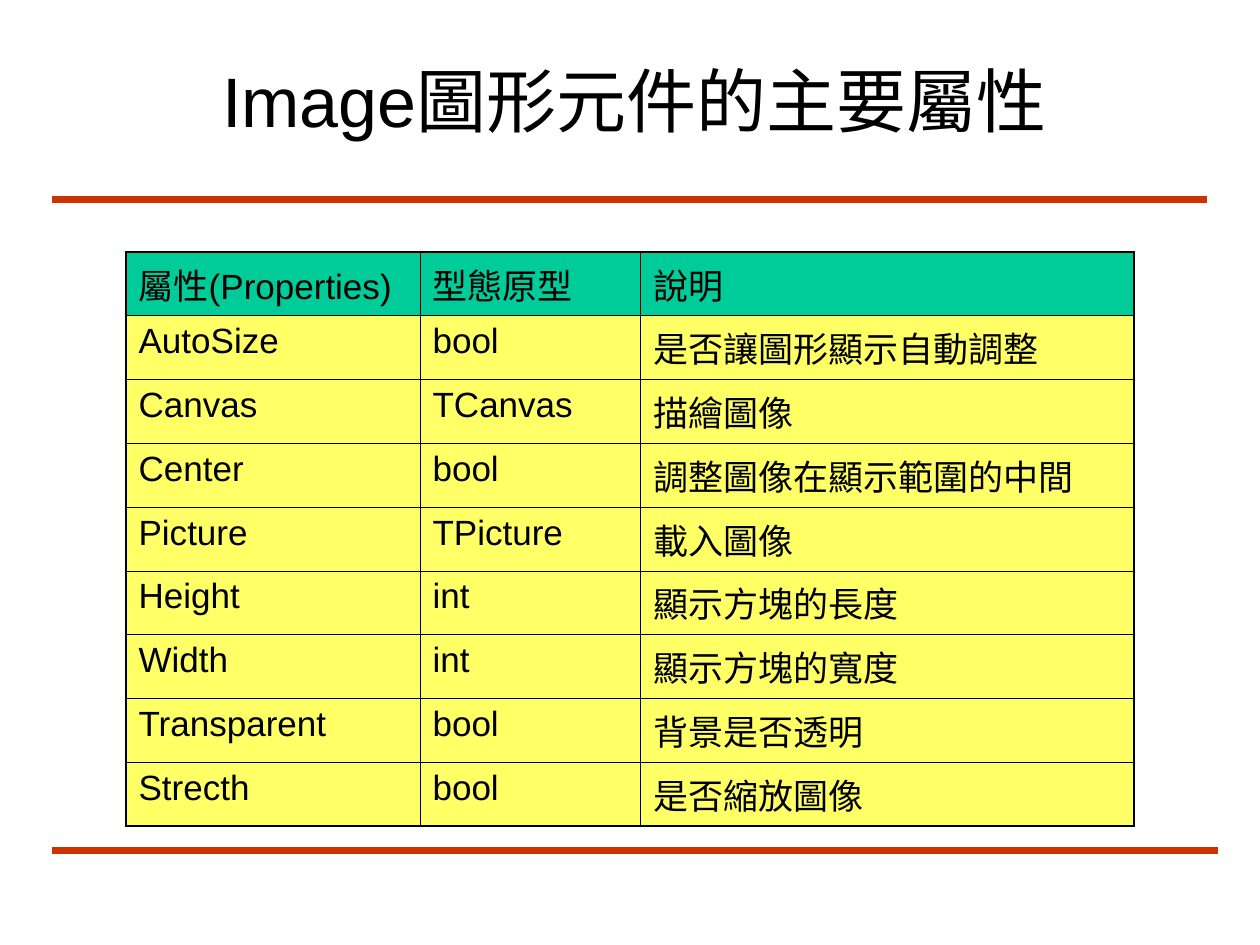
"""Builds a slide with a table of the main properties of the Image component."""
from lxml import etree
from pptx import Presentation, util as u
from pptx.dml.color import RGBColor
from pptx.enum import shapes, text
from pptx.oxml import ns

COLORS = {"ink": "000000", "rule": "CC3300", "header": "00CC99", "body": "FFFF66"}

PROPERTIES = [
    ("屬性(Properties)", "型態原型", "說明"),
    ("AutoSize", "bool", "是否讓圖形顯示自動調整"),
    ("Canvas", "TCanvas", "描繪圖像"),
    ("Center", "bool", "調整圖像在顯示範圍的中間"),
    ("Picture", "TPicture", "載入圖像"),
    ("Height", "int", "顯示方塊的長度"),
    ("Width", "int", "顯示方塊的寬度"),
    ("Transparent", "bool", "背景是否透明"),
    ("Strecth", "bool", "是否縮放圖像"),
]


class SlideBuilder:
    font = "Arial"
    scale = 7620
    outer_border = 1.08
    inner_border = 0.45

    def __init__(self, page):
        self.page = page

    def px(self, *lengths):
        return [u.Emu(length * self.scale) for length in lengths]

    def color(self, name):
        return RGBColor.from_string(COLORS[name])

    def add_words(self, frame, words, size):
        frame.word_wrap = True
        para = frame.paragraphs[0]
        para.alignment = text.PP_ALIGN.LEFT
        span = para.add_run()
        span.text = words
        span.font.name = self.font
        span.font.size = u.Pt(size)
        span.font.color.rgb = self.color("ink")

    def title(self, words, left, top, width, height):
        box = self.page.shapes.add_textbox(*self.px(left, top, width, height))
        box.text_frame.vertical_anchor = text.MSO_ANCHOR.MIDDLE
        self.add_words(box.text_frame, words, 40)

    def rule(self, left, right, y):
        line = self.page.shapes.add_connector(
            shapes.MSO_CONNECTOR.STRAIGHT, *self.px(left, y, right, y))
        line.line.color.rgb = self.color("rule")
        line.line.width = u.Pt(4.5)
        etree.SubElement(line._element.spPr, ns.qn("a:effectLst"))

    def border(self, cell, side, width):
        properties = cell._tc.get_or_add_tcPr()
        line = etree.SubElement(properties, ns.qn(f"a:ln{side}"), w=str(u.Pt(width)))
        fill = etree.SubElement(line, ns.qn("a:solidFill"))
        etree.SubElement(fill, ns.qn("a:srgbClr"), val=COLORS["ink"])

    def table(self, rows, left, top, widths, height):
        last_row, last_column = len(rows) - 1, len(widths) - 1
        grid = self.page.shapes.add_table(
            len(rows), len(widths), *self.px(left, top, sum(widths), height)).table
        for column, width in zip(grid.columns, self.px(*widths)):
            column.width = width
        for r, row in enumerate(rows):
            for c, words in enumerate(row):
                cell = grid.cell(r, c)
                self.add_words(cell.text_frame, words, 20)
                edges = {"L": c == 0, "R": c == last_column, "T": r == 0, "B": r == last_row}
                for side, is_outer in edges.items():
                    self.border(cell, side, self.outer_border if is_outer else self.inner_border)
                cell.fill.solid()
                cell.fill.fore_color.rgb = self.color("body" if r else "header")


def main():
    deck = Presentation()
    deck.slide_width, deck.slide_height = u.Inches(10), u.Inches(7.5)
    builder = SlideBuilder(deck.slides.add_slide(deck.slide_layouts[6]))
    builder.rule(50, 1150, 190)
    builder.rule(50, 1160, 810)
    builder.title("Image圖形元件的主要屬性", 200, 40, 910, 110)
    builder.table(PROPERTIES, 120, 240, (280, 210, 470), 547)
    deck.save("out.pptx")


if __name__ == "__main__":
    main()
